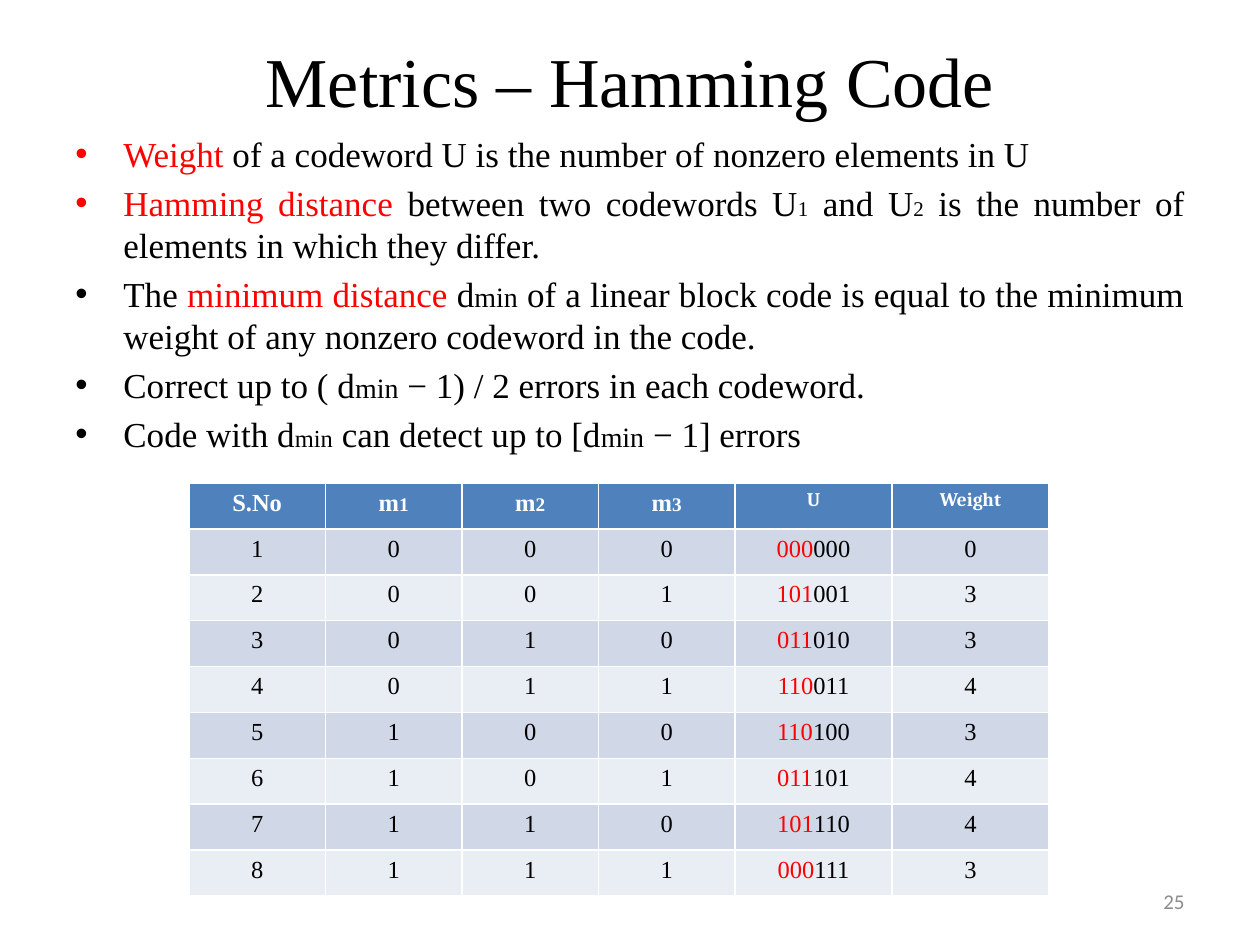
from lxml import etree
from pptx import Presentation
from pptx import util as u
from pptx.dml.color import RGBColor
from pptx.enum import text
from pptx.oxml import ns

BLACK = RGBColor(0x00, 0x00, 0x00)
WHITE = RGBColor(0xFF, 0xFF, 0xFF)
RED = RGBColor(0xFF, 0x00, 0x00)
GRAY = RGBColor(0x8C, 0x8C, 0x8C)
HEADER = RGBColor(0x4F, 0x81, 0xBD)
BANDS = [RGBColor(0xD0, 0xD8, 0xE8), RGBColor(0xE9, 0xED, 0xF4)]
SERIF = "Times New Roman"

# Content: a span is (text, format values that differ from the default)
TITLE = "Metrics – Hamming Code"
PAGE_NUMBER = "25"
KEY = {"color": RED}
BULLETS = [
    [("Weight", KEY), (" of a codeword U is the number of nonzero elements in U", {})],
    [("Hamming distance", KEY), (" between two codewords U", {}), ("1", {"size": 12}),
     (" and U", {}), ("2", {"size": 12}),
     (" is the number of elements in which they differ.", {})],
    [("The ", {}), ("minimum distance ", KEY), ("d", {}), ("min", {"size": 16}),
     (" of a linear block code is equal to the minimum weight of any nonzero "
      "codeword in the code.", {})],
    [("Correct up to ( d", {}), ("min", {"size": 16}),
     (" − 1) / 2 errors in each codeword.", {})],
    [("Code with d", {}), ("min", {"size": 14}), (" can detect up to [d", {}),
     ("min", {"size": 16}), (" − 1] errors ", {})],
]
CODEWORDS = ["000000", "101001", "011010", "110011",
             "110100", "011101", "101110", "000111"]
WEIGHTS = [0, 3, 3, 4, 3, 4, 4, 3]

SMALL = {"size": 11}
CAMBRIA = {"size": 11, "name": "Cambria"}
message_rows = [[[("S.No", {})]] + [[("m", {}), (str(n), SMALL)] for n in (1, 2, 3)]]
for number in range(len(CODEWORDS)):
    cells = [str(number + 1), *f"{number:03b}"]
    message_rows.append([[(value, {})] for value in cells])
code_rows = [[[("U", CAMBRIA)]]] + [[[(c[:3], KEY), (c[3:], {})]] for c in CODEWORDS]
weight_rows = [[[("Weight", CAMBRIA)]]] + [[[(str(w), {})]] for w in WEIGHTS]

# Tables: left, width, rows
TABLES = [(189, 546, message_rows), (735, 157, code_rows), (892, 157, weight_rows)]
TABLE_TOP, TABLE_HEIGHT = 483, 413


def px(length):
    return u.Emu(round(length * 914400 / 126))


def place(shape, left, top, width, height):
    shape.left, shape.top, shape.width, shape.height = map(px, (left, top, width, height))


def write(para, spans, align, **base):
    para.alignment = align
    for words, changes in spans:
        span = para.add_run()
        span.text = words
        values = {"name": SERIF, "color": BLACK, "bold": False, **base, **changes}
        span.font.color.rgb = values.pop("color")
        values["size"] = u.Pt(values["size"])
        for key, value in values.items():
            setattr(span.font, key, value)


def add_bullet(para, color):
    props = para._p.get_or_add_pPr()
    props.set("marL", str(px(48)))
    props.set("indent", str(-px(48)))
    tint = etree.SubElement(props, ns.qn("a:buClr"))
    etree.SubElement(tint, ns.qn("a:srgbClr"), val=str(color))
    etree.SubElement(props, ns.qn("a:buFont"), typeface="Arial")
    etree.SubElement(props, ns.qn("a:buChar"), char="•")


def add_table(page, left, width, rows):
    columns = len(rows[0])
    frame = page.shapes.add_table(len(rows), columns, px(left), px(TABLE_TOP),
                                  px(width), px(TABLE_HEIGHT))
    table = frame.table
    for column in table.columns:
        column.width = px(width / columns)
    for r, row in enumerate(rows):
        table.rows[r].height = px(TABLE_HEIGHT / len(rows))
        for c, spans in enumerate(row):
            cell = table.cell(r, c)
            cell.fill.solid()
            cell.fill.fore_color.rgb = BANDS[(r - 1) % 2] if r else HEADER
            write(cell.text_frame.paragraphs[0], spans, text.PP_ALIGN.CENTER, size=14,
                  bold=r == 0, color=BLACK if r else WHITE)


def main():
    deck = Presentation()
    deck.slide_width, deck.slide_height = px(1260), px(945)
    page = deck.slides.add_slide(deck.slide_layouts[5])

    # Title
    title = page.shapes.title
    place(title, 63, 0, 1134, 158)
    title.text_frame.vertical_anchor = text.MSO_ANCHOR.MIDDLE
    write(title.text_frame.paragraphs[0], [(TITLE, {})], text.PP_ALIGN.CENTER, size=40)

    # Bullets
    box = page.shapes.add_textbox(px(63), px(126), px(1134), px(451))
    frame = box.text_frame
    frame.word_wrap = True
    for i, spans in enumerate(BULLETS):
        para = frame.add_paragraph() if i else frame.paragraphs[0]
        para.space_before = u.Pt(4)
        write(para, spans, text.PP_ALIGN.JUSTIFY, size=20)
        add_bullet(para, spans[0][1].get("color", BLACK))

    # Page number
    box = page.shapes.add_textbox(px(903), px(876), px(294), px(50))
    box.text_frame.word_wrap = True
    box.text_frame.vertical_anchor = text.MSO_ANCHOR.MIDDLE
    write(box.text_frame.paragraphs[0], [(PAGE_NUMBER, {})], text.PP_ALIGN.RIGHT,
          size=12, name="Calibri", color=GRAY)

    # Code tables side by side
    for left, width, rows in TABLES:
        add_table(page, left, width, rows)

    deck.save("out.pptx")


if __name__ == "__main__":
    main()
